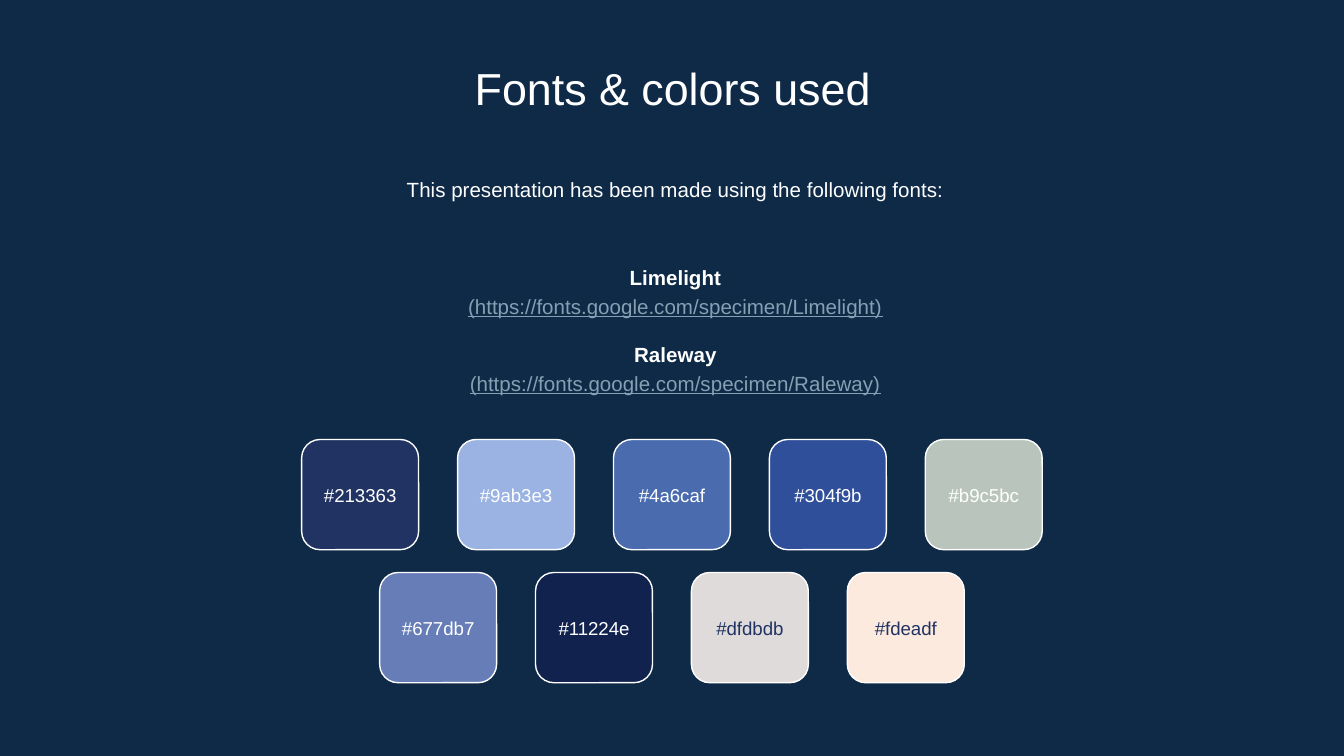
from dataclasses import dataclass

from pptx import Presentation
from pptx.dml.color import RGBColor
from pptx.enum.shapes import MSO_SHAPE
from pptx.enum.text import MSO_ANCHOR, MSO_AUTO_SIZE, PP_ALIGN
from pptx.util import Inches, Pt

ROUND = MSO_SHAPE.ROUNDED_RECTANGLE
TOP, MIDDLE = MSO_ANCHOR.TOP, MSO_ANCHOR.MIDDLE
CENTER = PP_ALIGN.CENTER
NO_FIT = MSO_AUTO_SIZE.NONE

FONT = "Arial"
NIGHT, WHITE, NAVY, MIST = "0E2A47", "FFFFFF", "213363", "869FB2"
WIDE = 10
HIGH = WIDE * 9 / 16
TILE_W, TILE_H, STEP = 0.87, 0.82, 1.16
LABEL_H = 0.48


@dataclass
class Line:
    text: str
    size: float
    color: str = WHITE
    bold: bool = False
    under: bool = False
    space: float = 1.0
    before: float = 0


@dataclass
class Swatch:
    code: str
    ink: str = WHITE


@dataclass
class Row:
    top: float
    items: list[Swatch]


ROWS = [
    Row(3.27, [Swatch("213363"), Swatch("9ab3e3"), Swatch("4a6caf"),
               Swatch("304f9b"), Swatch("b9c5bc")]),
    Row(4.26, [Swatch("677db7"), Swatch("11224e"),
               Swatch("dfdbdb", NAVY), Swatch("fdeadf", NAVY)]),
]

INTRO = "This presentation has been made using the following fonts:"
NAMES = ["Limelight", "Raleway"]


def paint(target, color: str) -> None:
    """Give a fill a solid colour."""
    target.solid()
    target.fore_color.rgb = RGBColor.from_string(color.upper())


def write(shape, lines: list[Line], anchor=TOP) -> None:
    """Set centred lines of text in a shape."""
    frame = shape.text_frame
    frame.word_wrap = True
    frame.auto_size = NO_FIT
    frame.vertical_anchor = anchor
    frame.margin_left = frame.margin_right = Inches(0.1)
    frame.margin_top = frame.margin_bottom = Inches(0.1)
    for i, line in enumerate(lines):
        para = frame.add_paragraph() if i else frame.paragraphs[0]
        para.alignment = CENTER
        para.line_spacing = line.space
        para.space_before = Pt(line.before)
        run = para.add_run()
        run.text = line.text
        font = run.font
        font.name, font.size = FONT, Pt(line.size)
        font.bold, font.underline = line.bold, line.under
        paint(font.fill, line.color)


def add_text(slide, left: float, top: float, width: float, height: float,
             lines: list[Line], anchor=TOP) -> None:
    box = slide.shapes.add_textbox(Inches(left), Inches(top),
                                   Inches(width), Inches(height))
    write(box, lines, anchor)


def add_swatch(slide, left: float, top: float, item: Swatch) -> None:
    """Draw one colour tile with its code in the middle."""
    tile = slide.shapes.add_shape(ROUND, Inches(left), Inches(top),
                                  Inches(TILE_W), Inches(TILE_H))
    tile.shadow.inherit = False
    paint(tile.fill, item.code)
    paint(tile.line.fill, WHITE)
    tile.line.width = Pt(0.75)
    add_text(slide, left, top + (TILE_H - LABEL_H) / 2, TILE_W, LABEL_H,
             [Line(f"#{item.code}", 10, item.ink)], MIDDLE)


def add_row(slide, row: Row) -> None:
    """Centre a row of tiles on the slide."""
    span = (len(row.items) - 1) * STEP + TILE_W
    left = (WIDE - span) / 2
    for i, item in enumerate(row.items):
        add_swatch(slide, left + i * STEP, row.top, item)


def main() -> None:
    deck = Presentation()
    deck.slide_width, deck.slide_height = Inches(WIDE), Inches(HIGH)
    slide = deck.slides.add_slide(deck.slide_layouts.get_by_name("Title Only"))
    paint(slide.background.fill, NIGHT)

    # Title
    title = slide.shapes.title
    title.left, title.top = Inches(1.15), Inches(0.35)
    title.width, title.height = Inches(7.71), Inches(0.53)
    write(title, [Line("Fonts & colors used", 24)])

    # Fonts and their addresses
    add_text(slide, 1.17, 1.19, 7.71, 0.48, [Line(INTRO, 11, space=1.15)])
    lines = []
    for i, name in enumerate(NAMES):
        link = f"(https://fonts.google.com/specimen/{name})"
        lines += [
            Line(name, 11, bold=True, space=1.15, before=11 if i else 0),
            Line(link, 11, MIST, under=True, space=1.15),
        ]
    add_text(slide, 1.17, 1.76, 7.71, 1.37, lines, MIDDLE)

    # Colour tiles
    for row in ROWS:
        add_row(slide, row)

    deck.save("out.pptx")


if __name__ == "__main__":
    main()
